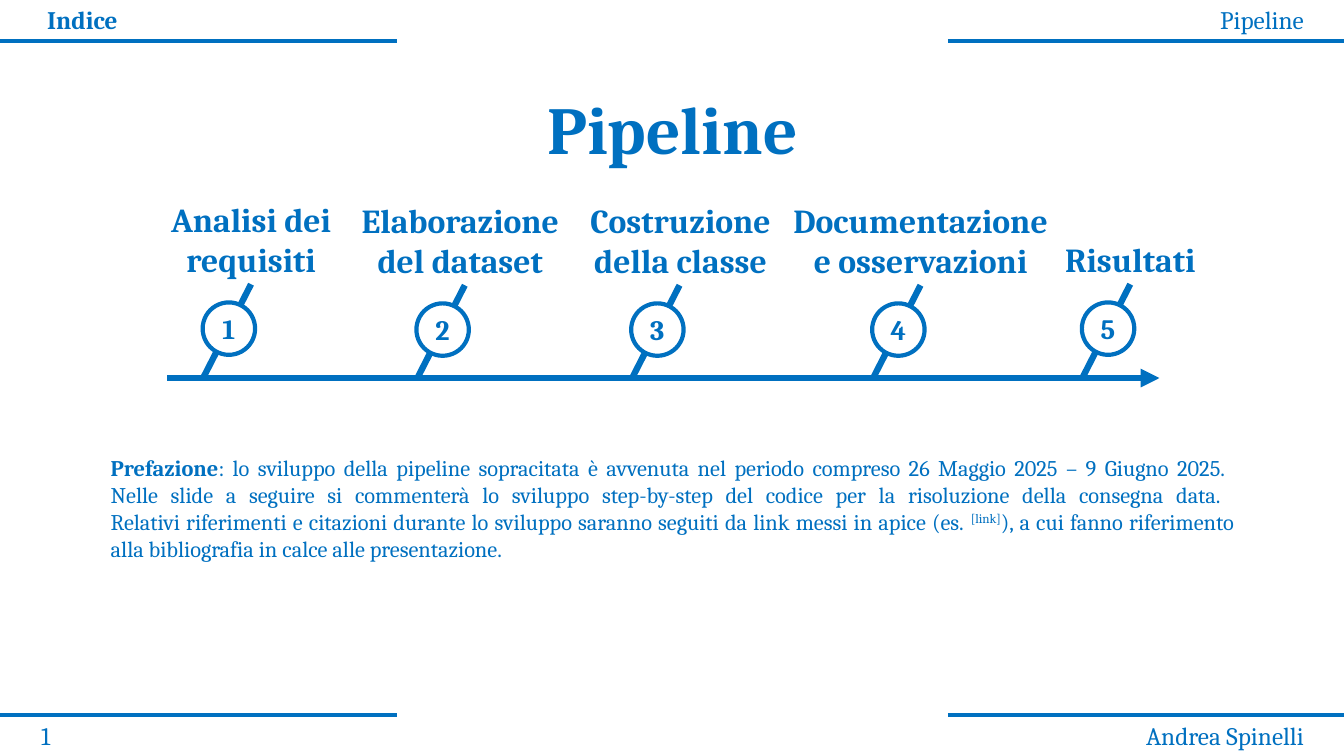
from lxml.etree import SubElement
from pptx import Presentation
from pptx.dml.color import RGBColor
from pptx.enum.shapes import MSO_CONNECTOR, MSO_SHAPE
from pptx.enum.text import MSO_ANCHOR, MSO_AUTO_SIZE, PP_ALIGN
from pptx.oxml.ns import qn
from pptx.util import Inches, Pt


def color(hex_value):
    return RGBColor.from_string(hex_value)


def apply(target, values):
    for name, value in values.items():
        setattr(target, name, value)


class PipelineSlide:
    blue = "0070C0"
    white = "FFFFFF"
    font = "Cambria"

    def __init__(self, slide):
        self.slide = slide
        slide.background.fill.solid()
        slide.background.fill.fore_color.rgb = color(self.white)

    def run(self, paragraph, text, size, bold=False):
        run = paragraph.add_run()
        run.text = text
        apply(run.font, {"name": self.font, "size": Pt(size), "bold": bold})
        run.font.color.rgb = color(self.blue)
        return run

    def frame(self, shape, align, anchor=MSO_ANCHOR.TOP, fit=MSO_AUTO_SIZE.SHAPE_TO_FIT_TEXT):
        frame = shape.text_frame
        apply(frame, {"word_wrap": True, "auto_size": fit, "vertical_anchor": anchor})
        paragraph = frame.paragraphs[0]
        paragraph.alignment = align
        return paragraph

    def title(self, text, left, top, width, height):
        title = self.slide.shapes.title
        apply(title, {"left": Inches(left), "top": Inches(top),
                      "width": Inches(width), "height": Inches(height)})
        self.run(self.frame(title, PP_ALIGN.CENTER), text, 48, True)

    def textbox(self, left, top, width, height, align=PP_ALIGN.LEFT, **frame_format):
        box = self.slide.shapes.add_textbox(
            Inches(left), Inches(top), Inches(width), Inches(height))
        return self.frame(box, align, **frame_format)

    def line(self, x1, y1, x2, y2, weight, arrow=False):
        line = self.slide.shapes.add_connector(
            MSO_CONNECTOR.STRAIGHT, Inches(x1), Inches(y1), Inches(x2), Inches(y2))
        line.line.color.rgb = color(self.blue)
        line.line.width = Pt(weight)
        if arrow:
            SubElement(line.line._get_or_add_ln(), qn("a:tailEnd"), type="triangle")
        SubElement(line._element.spPr, qn("a:effectLst"))

    def badge(self, text, left, top, size):
        badge = self.slide.shapes.add_shape(
            MSO_SHAPE.OVAL, Inches(left), Inches(top), Inches(size), Inches(size))
        badge.shadow.inherit = False
        badge.fill.solid()
        badge.fill.fore_color.rgb = color(self.white)
        badge.line.color.rgb = color(self.blue)
        badge.line.width = Pt(3)
        paragraph = self.frame(badge, PP_ALIGN.CENTER, MSO_ANCHOR.MIDDLE, MSO_AUTO_SIZE.NONE)
        self.run(paragraph, text, 20, True)

    def step(self, number, label, label_left, label_width, badge_left, drop):
        badge_top = 3 + drop
        self.line(badge_left + 0.01, badge_top + 0.74,
                  badge_left + 0.48, badge_top - 0.18, 4.5)
        self.badge(str(number), badge_left, badge_top, 0.52)
        caption = self.textbox(label_left, 1.91 + drop, label_width, 0.91, PP_ALIGN.CENTER,
                               anchor=MSO_ANCHOR.BOTTOM, fit=MSO_AUTO_SIZE.NONE)
        self.run(caption, label, 24, True)


def main():
    deck = Presentation()
    deck.slide_width, deck.slide_height = Inches(13.33), Inches(7.5)
    page = PipelineSlide(deck.slides.add_slide(deck.slide_layouts[5]))

    # Header and footer rules
    for rule_y in (7.09, 0.41):
        for start, end in ((0, 3.94), (9.4, 13.33)):
            page.line(start, rule_y, end, rule_y, 3)

    # Header and footer texts
    for text, left, top, align, bold in (
        ("1", 0.31, 7.1, PP_ALIGN.LEFT, False),
        ("Andrea Spinelli", 9.09, 7.1, PP_ALIGN.RIGHT, False),
        ("Pipeline", 9.09, -0.01, PP_ALIGN.RIGHT, False),
        ("Indice", 0.37, -0.01, PP_ALIGN.LEFT, True),
    ):
        page.run(page.textbox(left, top, 3.94, 0.4, align), text, 18, bold)

    page.title("Pipeline", 0.31, 0.82, 12.72, 0.91)

    # Timeline: label, label left, label width, badge left, drop
    page.line(1.66, 3.75, 11.5, 3.75, 4.5, arrow=True)
    steps = (
        ("Analisi dei requisiti", 1.55, 1.88, 2.01, 0),
        ("Elaborazione del dataset", 3.43, 2.27, 4.13, 0.01),
        ("Costruzione della classe", 5.7, 2.1, 6.26, 0.01),
        ("Documentazione e osservazioni", 7.72, 2.82, 8.65, 0.01),
        ("Risultati", 10.27, 1.88, 10.73, 0),
    )
    for number, step in enumerate(steps, 1):
        page.step(number, *step)

    # Preface
    preface = page.textbox(1, 4.46, 11.34, 1.18, PP_ALIGN.JUSTIFY)
    preface.space_after = Pt(6)
    page.run(preface, "Prefazione", 16, True)
    page.run(preface, ": lo sviluppo della pipeline sopracitata è avvenuta nel periodo "
                      "compreso 26 Maggio 2025 – 9 Giugno 2025. ", 16)
    preface.add_line_break()
    page.run(preface, "Nelle slide a seguire si commenterà lo sviluppo step-by-step del "
                      "codice per la risoluzione della consegna data. ", 16)
    preface.add_line_break()
    page.run(preface, "Relativi riferimenti e citazioni durante lo sviluppo saranno seguiti "
                      "da link messi in apice (es. ", 16)
    link = page.run(preface, "[link]", 16)
    link.font._element.set("baseline", "30000")
    page.run(preface, "), a cui fanno riferimento alla bibliografia in calce alle "
                      "presentazione.", 16)

    deck.save("out.pptx")


if __name__ == "__main__":
    main()
